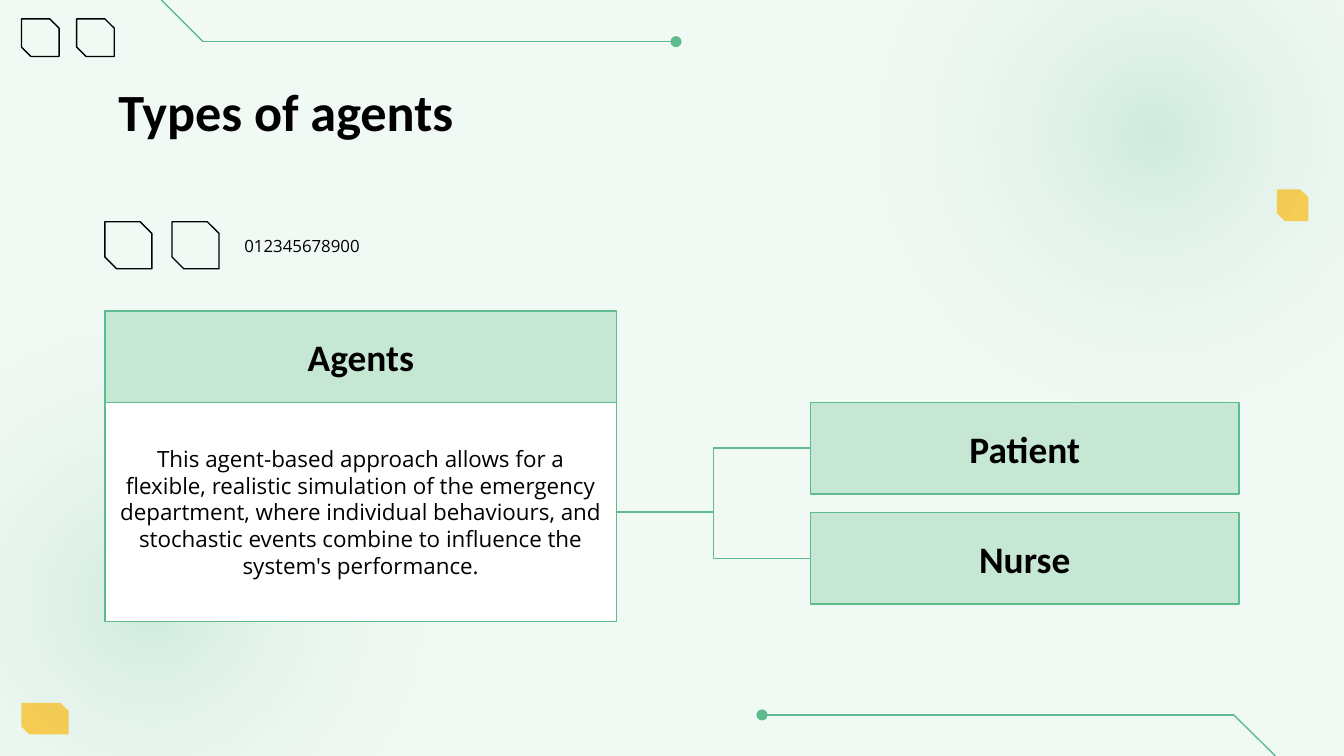
from lxml import etree
from pptx import Presentation
from pptx import util as u
from pptx.dml.color import RGBColor
from pptx.enum import shapes, text
from pptx.oxml import parse_xml
from pptx.oxml.ns import nsdecls, qn

COLORS = {"background": "F1F9F4", "green": "5DBB8E", "mint": "C6E7D3",
          "yellow": "FFCA45", "white": "FFFFFF", "black": "000000"}
HEADING = {"name": "Calibri", "bold": True}
BODY = {"name": "Open Sans", "bold": False}

# The grid has square cells: 100 columns by 56.25 rows
COLUMNS, ROWS = 100, 56.25
CELL = u.Inches(0.1)
MARGIN = 7.8
CONTENT_WIDTH = COLUMNS - 2 * MARGIN


def cells(*values):
    return [round(value * CELL) for value in values]


def color(name):
    return RGBColor.from_string(COLORS[name])


def write(shape, words, size, style, align, anchor):
    frame = shape.text_frame
    settings = {"word_wrap": True, "auto_size": text.MSO_AUTO_SIZE.NONE,
                "vertical_anchor": anchor}
    for side in ("left", "right", "top", "bottom"):
        settings[f"margin_{side}"] = CELL
    for name, value in settings.items():
        setattr(frame, name, value)
    frame.text = words
    paragraph = frame.paragraphs[0]
    paragraph.alignment = align
    for name, value in {**style, "size": u.Pt(size)}.items():
        setattr(paragraph.font, name, value)
    paragraph.font.color.rgb = color("black")


def add_box(slide, kind, box, fill=None, line=None):
    shape = slide.shapes.add_shape(kind, *cells(*box))
    shape.shadow.inherit = False
    if fill:
        shape.fill.solid()
        shape.fill.fore_color.rgb = color(fill)
    else:
        shape.fill.background()
    if line:
        shape.line.color.rgb = color(line)
        shape.line.width = u.Pt(0.75)
    else:
        shape.line.fill.background()
    return shape


def add_line(slide, start, end, kind=shapes.MSO_CONNECTOR.STRAIGHT, dot=False):
    line = slide.shapes.add_connector(kind, *cells(*start, *end))
    line.line.color.rgb = color("green")
    line.line.width = u.Pt(0.75)
    if dot:
        etree.SubElement(line.line._get_or_add_ln(), qn("a:tailEnd"), type="oval")
    etree.SubElement(line._element.spPr, qn("a:effectLst"))


def snipped(slide, box, fill=None, line=None):
    shape = add_box(slide, shapes.MSO_SHAPE.SNIP_2_DIAG_RECTANGLE, box, fill, line)
    shape.adjustments[0] = 0
    shape.adjustments[1] = 0.25


def snipped_pair(slide, left, top, size, pitch):
    for index in range(2):
        snipped(slide, (left + index * pitch, top, size, size), line="black")


def glow(slide, left, top, size):
    shape = add_box(slide, shapes.MSO_SHAPE.OVAL, (left, top, size, size))
    stops = "".join(
        f'<a:gs pos="{position * 1000}"><a:srgbClr val="{COLORS[name]}">'
        f'<a:alpha val="{alpha * 1000}"/></a:srgbClr></a:gs>'
        for position, name, alpha in ((0, "green", 22), (71, "white", 0), (100, "white", 0)))
    gradient = parse_xml(
        f'<a:gradFill {nsdecls("a")} rotWithShape="1"><a:gsLst>{stops}</a:gsLst>'
        '<a:path path="circle"><a:fillToRect l="50000" t="50000" r="50000" b="50000"/>'
        '</a:path></a:gradFill>')
    properties = shape._element.spPr
    properties.replace(properties.find(qn("a:noFill")), gradient)


def add_decoration(slide):
    snipped_pair(slide, 1.6, 1.4, 2.8, 4.1)
    # Corner lines, each with a dot at its inner end
    for edge, bend, tip in (((94.9, ROWS), (91.8, 53.2), (56.7, 53.2)),
                            ((12, 0), (15.1, 3.1), (50.3, 3.1))):
        add_line(slide, edge, bend)
        add_line(slide, bend, tip, dot=True)
    for box in ((95, 14.1, 2.35, 2.35), (1.6, 52.3, 3.5, 2.35)):
        snipped(slide, box, fill="yellow")
    for left, top in ((-13.6, 20.1), (61.1, -14.8)):
        glow(slide, left, top, 49.4)


def add_title(slide, box):
    title = slide.shapes.title
    title.left, title.top, title.width, title.height = cells(*box)
    write(title, "Types of agents", 28, HEADING,
          text.PP_ALIGN.LEFT, text.MSO_ANCHOR.TOP)


def add_number_row(slide, box):
    left, top, width, height = box
    snipped_pair(slide, left, top, height, 5)
    label = slide.shapes.add_textbox(*cells(left + 9.4, top + 0.7, width - 9.4, 2.2))
    write(label, "012345678900", 9, BODY,
          text.PP_ALIGN.LEFT, text.MSO_ANCHOR.MIDDLE)


def add_panel(slide, box, words, fill="mint", size=20, style=HEADING):
    panel = add_box(slide, shapes.MSO_SHAPE.RECTANGLE, box, fill, "green")
    write(panel, words, size, style, text.PP_ALIGN.CENTER, text.MSO_ANCHOR.MIDDLE)


def add_agent_tree(slide, box):
    left, top, width, height = box
    parent_width, child_width, heading, gap = 38.1, 31.9, 6.8, 1.4
    body_top = top + heading
    body_height = height - heading
    child_left = left + width - child_width
    # Parent heading, then its children and the links to them
    add_panel(slide, (left, top, parent_width, heading), "Agents")
    for index, name in enumerate(("Patient", "Nurse")):
        child_top = body_top + index * (heading + gap)
        add_panel(slide, (child_left, child_top, child_width, heading), name)
        add_line(slide, (left + parent_width, body_top + body_height / 2),
                 (child_left, child_top + heading / 2), shapes.MSO_CONNECTOR.ELBOW)
    # Description under the parent heading
    add_panel(slide, (left, body_top, parent_width, body_height),
              "This agent-based approach allows for a flexible, realistic simulation "
              "of the emergency department, where individual behaviours, and stochastic "
              "events combine to influence the system's performance.",
              "white", 12, BODY)


def main():
    presentation = Presentation()
    presentation.slide_width, presentation.slide_height = cells(COLUMNS, ROWS)
    slide = presentation.slides.add_slide(presentation.slide_layouts[5])
    slide.background.fill.solid()
    slide.background.fill.fore_color.rgb = color("background")
    add_decoration(slide)
    add_title(slide, (MARGIN, 4.9, CONTENT_WIDTH, 6.7))
    add_agent_tree(slide, (MARGIN, 23.15, CONTENT_WIDTH, 23.1))
    add_number_row(slide, (MARGIN, 16.5, 20.8, 3.5))
    presentation.save("out.pptx")


if __name__ == "__main__":
    main()
